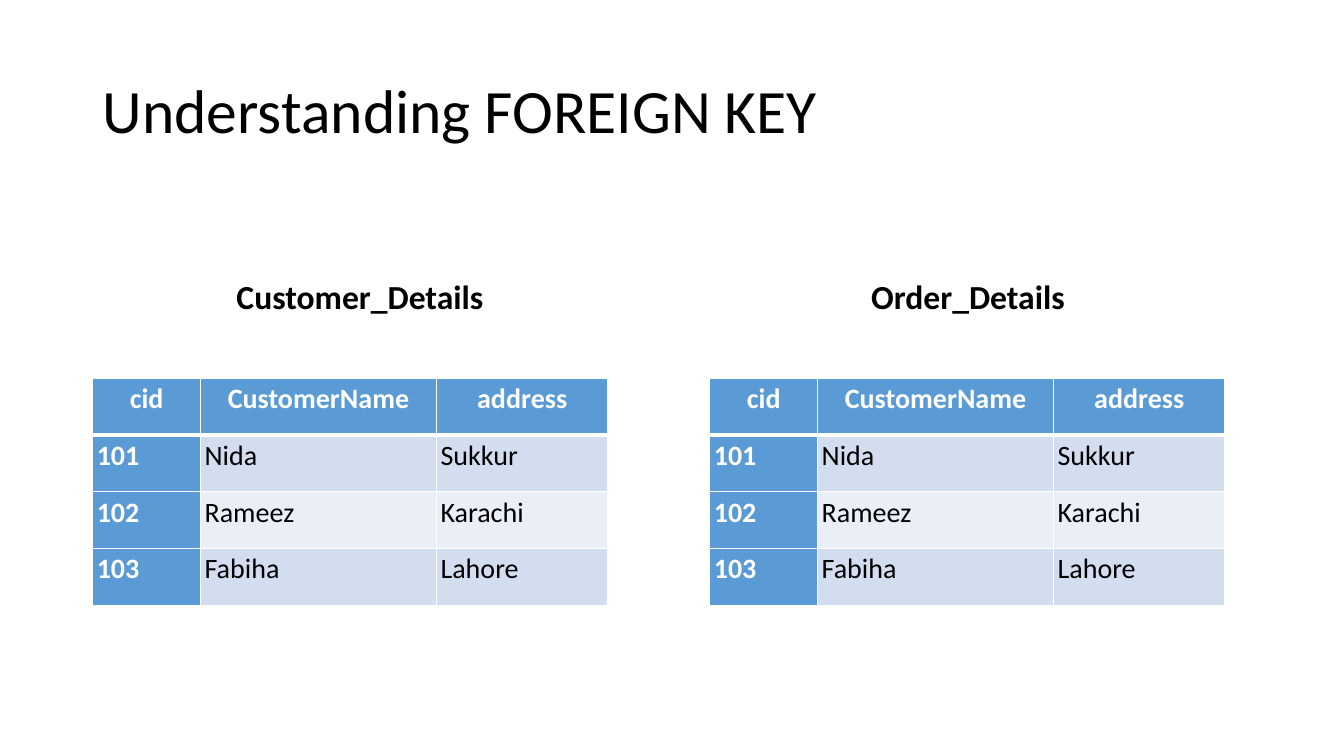
from pptx import Presentation
from pptx.dml.color import RGBColor
from pptx.enum.text import MSO_ANCHOR as Anchor, PP_ALIGN as Align
from pptx.oxml import parse_xml
from pptx.oxml.ns import nsdecls
from pptx.util import Inches, Pt

FONT = "Calibri"
BLACK, WHITE, BLUE = "000000", "FFFFFF", "5B9BD5"
BANDS = ["D2DEEF", "EAEFF7"]
COLUMN_WIDTHS = [1.07, 2.34, 1.7]
TABLE_TOP, TABLE_HEIGHT = 3.75, 2.26
ROWS = [
    ["cid", "CustomerName", "address"],
    ["101", "Nida", "Sukkur"],
    ["102", "Rameez", "Karachi"],
    ["103", "Fabiha", "Lahore"],
]
# Heading, heading left, table left
PANELS = [("Customer_Details", 0.75, 0.92), ("Order_Details", 6.78, 7.04)]


def color(value):
    return RGBColor.from_string(value)


def add_run(p, text, size, fill, bold=False):
    r = p.add_run()
    r.text = text
    r.font.name = FONT
    r.font.size = Pt(size)
    r.font.bold = bold
    r.font.color.rgb = color(fill)


def add_text(s, box, text, size, anchor, align=Align.LEFT, bold=False, before=0):
    tf = s.shapes.add_textbox(*map(Inches, box)).text_frame
    tf.word_wrap = True
    tf.vertical_anchor = anchor
    p = tf.paragraphs[0]
    p.alignment = align
    p.line_spacing = 0.9
    p.space_before = Pt(before)
    add_run(p, text, size, BLACK, bold)


def set_border(cell, side, width):
    cell._tc.get_or_add_tcPr().append(parse_xml(
        f'<a:ln{side} {nsdecls("a")} w="{Pt(width)}"><a:solidFill>'
        f'<a:srgbClr val="{WHITE}"/></a:solidFill></a:ln{side}>'))


def style_cell(cell, text, row, column):
    header = row == 0
    key = header or column == 0
    # The rule under the header is thicker than the others
    widths = {"L": 1, "R": 1, "T": 3 if row == 1 else 1, "B": 3 if header else 1}
    for side, width in widths.items():
        set_border(cell, side, width)
    cell.fill.solid()
    cell.fill.fore_color.rgb = color(BLUE if key else BANDS[(row - 1) % 2])
    cell.margin_left = cell.margin_right = Inches(0.04)
    cell.margin_top = cell.margin_bottom = 0
    p = cell.text_frame.paragraphs[0]
    p.alignment = Align.CENTER if header else Align.LEFT
    p.line_spacing = 1.1
    p.space_before = p.space_after = Pt(3)
    add_run(p, text, 20, WHITE if key else BLACK, key)


def add_data_table(s, left):
    box = (left, TABLE_TOP, sum(COLUMN_WIDTHS), TABLE_HEIGHT)
    table = s.shapes.add_table(
        len(ROWS), len(COLUMN_WIDTHS), *map(Inches, box)).table
    table.first_col = True
    for column, width in zip(table.columns, COLUMN_WIDTHS):
        column.width = Inches(width)
    for i, values in enumerate(ROWS):
        for j, text in enumerate(values):
            style_cell(table.cell(i, j), text, i, j)


def main():
    prs = Presentation()
    prs.slide_width, prs.slide_height = Inches(13.33), Inches(7.5)
    s = prs.slides.add_slide(prs.slide_layouts[6])

    # Title
    add_text(s, (0.92, 0.4, 11.5, 1.45), "Understanding FOREIGN KEY", 44,
             Anchor.MIDDLE)

    # Headings with their tables
    for heading, heading_left, table_left in PANELS:
        add_text(s, (heading_left, 2.29, 5.64, 0.9), heading, 24,
                 Anchor.BOTTOM, Align.CENTER, bold=True, before=10)
        add_data_table(s, table_left)

    prs.save("out.pptx")


if __name__ == "__main__":
    main()
